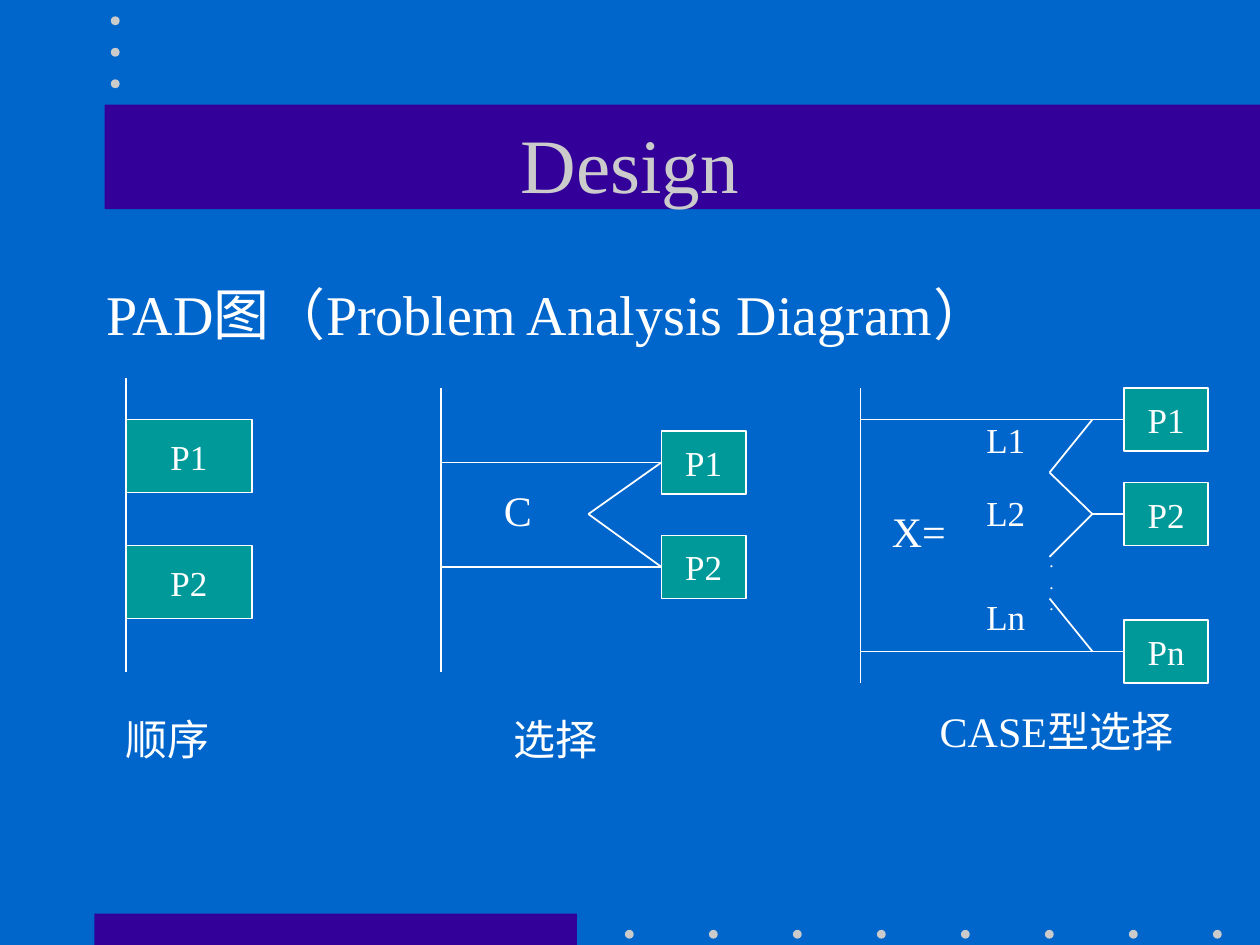
"""Build the Design slide showing the PAD diagram notations."""
from dataclasses import dataclass
from itertools import pairwise

from lxml.etree import SubElement
from pptx import Presentation
from pptx.dml.color import RGBColor as RGB
from pptx.enum.shapes import MSO_CONNECTOR as Conn, MSO_SHAPE as Shape
from pptx.enum.text import MSO_ANCHOR as Anchor, MSO_AUTO_SIZE as Fit, PP_ALIGN as Align
from pptx.oxml.ns import qn
from pptx.util import Inches, Pt


@dataclass(frozen=True)
class Theme:
    """Colours, font and type sizes."""
    back: RGB = RGB(0x00, 0x66, 0xCC)
    band: RGB = RGB(0x33, 0x00, 0x99)
    pale: RGB = RGB(0xCB, 0xCB, 0xCB)
    teal: RGB = RGB(0x00, 0x99, 0x99)
    white: RGB = RGB(0xFF, 0xFF, 0xFF)
    font: str = "Times New Roman"
    title: int = 44
    body: int = 32
    caption: int = 24
    label: int = 20
    dots: int = 10
    line: int = 1


@dataclass(frozen=True)
class Label:
    """A free text with its place and size."""
    text: str
    x: float
    y: float
    w: float
    h: float
    size: int


@dataclass(frozen=True)
class Process:
    """A process box of a diagram."""
    text: str
    x: float
    y: float
    w: float = 0.67
    h: float = 0.5


T = Theme()

PROCESSES = [
    Process("P1", 1, 3.33, 1, 0.58),
    Process("P2", 1, 4.33, 1, 0.58),
    Process("P1", 5.25, 3.42),
    Process("P2", 5.25, 4.25),
    Process("P1", 8.92, 3.08),
    Process("P2", 8.92, 3.83),
    Process("Pn", 8.92, 4.92),
]

PATHS = [
    [(1, 3), (1, 5.33)],
    [(3.5, 3.08), (3.5, 5.33)],
    [(3.5, 3.67), (5.25, 3.67), (4.67, 4.08), (5.25, 4.5), (3.5, 4.5)],
    [(6.83, 3.08), (6.83, 5.42)],
    [(6.83, 3.33), (8.92, 3.33)],
    [(6.83, 5.17), (8.92, 5.17)],
    [(8.67, 4.08), (8.92, 4.08)],
    [(8.67, 3.33), (8.33, 3.75), (8.67, 4.08), (8.33, 4.42)],
    [(8.33, 4.75), (8.67, 5.17)],
]

LABELS = [
    Label("PAD图（Problem Analysis Diagram）", 0.75, 2.17, 8.5, 0.65, T.body),
    Label(".\n.\n.", 8.23, 4.32, 0.23, 0.6, T.dots),
    Label("X=", 6.98, 3.96, 0.63, 0.5, T.caption),
    Label("L1", 7.73, 3.27, 0.51, 0.44, T.label),
    Label("L2", 7.73, 3.85, 0.51, 0.44, T.label),
    Label("Ln", 7.73, 4.68, 0.51, 0.44, T.label),
    Label("C", 3.9, 3.8, 0.42, 0.5, T.caption),
    Label("顺序", 0.9, 5.61, 0.86, 0.5, T.caption),
    Label("选择", 3.98, 5.61, 0.86, 0.5, T.caption),
    Label("CASE型选择", 7.36, 5.55, 2.13, 0.5, T.caption),
]


def write(tf, text: str, *, size: int, color: RGB = T.white, align=Align.LEFT,
          anchor=Anchor.TOP, wrap: bool = False) -> None:
    """Fill a text frame, one paragraph per line of text."""
    tf.text = text
    tf.auto_size = Fit.NONE
    tf.word_wrap = wrap
    tf.vertical_anchor = anchor
    for p in tf.paragraphs:
        p.alignment = align
        for r in p.runs:
            r.font.name = T.font
            r.font.size = Pt(size)
            r.font.color.rgb = color


def add_plain(s, kind: Shape, x: float, y: float, w: float, h: float, fill: RGB):
    """Add a filled shape without line or shadow."""
    sp = s.shapes.add_shape(kind, Inches(x), Inches(y), Inches(w), Inches(h))
    sp.shadow.inherit = False
    sp.fill.solid()
    sp.fill.fore_color.rgb = fill
    sp.line.fill.background()
    return sp


def add_process(s, box: Process) -> None:
    """Add an outlined process box with its name."""
    sp = add_plain(s, Shape.RECTANGLE, box.x, box.y, box.w, box.h, T.teal)
    sp.line.color.rgb = T.white
    sp.line.width = Pt(T.line)
    write(sp.text_frame, box.text, size=T.label, align=Align.CENTER, anchor=Anchor.MIDDLE)


def add_path(s, points: list[tuple[float, float]]) -> None:
    """Join consecutive points with straight lines."""
    for start, end in pairwise(points):
        ends = [Inches(v) for v in start + end]
        cx = s.shapes.add_connector(Conn.STRAIGHT, *ends)
        cx.line.color.rgb = T.white
        cx.line.width = Pt(T.line)
        SubElement(cx._element.spPr, qn("a:effectLst"))


def add_label(s, label: Label) -> None:
    """Add a text box for a label."""
    sp = s.shapes.add_textbox(*(Inches(v) for v in (label.x, label.y, label.w, label.h)))
    write(sp.text_frame, label.text, size=label.size)


def add_decoration(s) -> None:
    """Add the bands and rows of dots."""
    add_plain(s, Shape.RECTANGLE, 0.75, 7.25, 3.83, 0.25, T.band)
    add_plain(s, Shape.RECTANGLE, 0.83, 0.83, 9.17, 0.83, T.band)
    row = [(4.96 + i * 2 / 3, 7.38) for i in range(8)]
    column = [(0.88, 0.13 + i * 0.25) for i in range(3)]
    for x, y in row + column:
        add_plain(s, Shape.OVAL, x, y, 0.07, 0.07, T.pale)


def add_title(s, text: str) -> None:
    """Place the title in front of its band."""
    sp = s.shapes.title
    sp.left, sp.top, sp.width, sp.height = (Inches(v) for v in (0.75, 0.67, 8.5, 1.25))
    write(sp.text_frame, text, size=T.title, color=T.pale, align=Align.CENTER,
          anchor=Anchor.MIDDLE, wrap=True)
    s.shapes._spTree.append(sp._element)


def main() -> None:
    """Build and save the slide."""
    prs = Presentation()
    prs.slide_width, prs.slide_height = Inches(10), Inches(7.5)
    s = prs.slides.add_slide(prs.slide_layouts[5])
    s.background.fill.solid()
    s.background.fill.fore_color.rgb = T.back
    add_decoration(s)
    add_title(s, "Design")
    for box in PROCESSES:
        add_process(s, box)
    for points in PATHS:
        add_path(s, points)
    for label in LABELS:
        add_label(s, label)
    prs.save("out.pptx")


if __name__ == "__main__":
    main()
